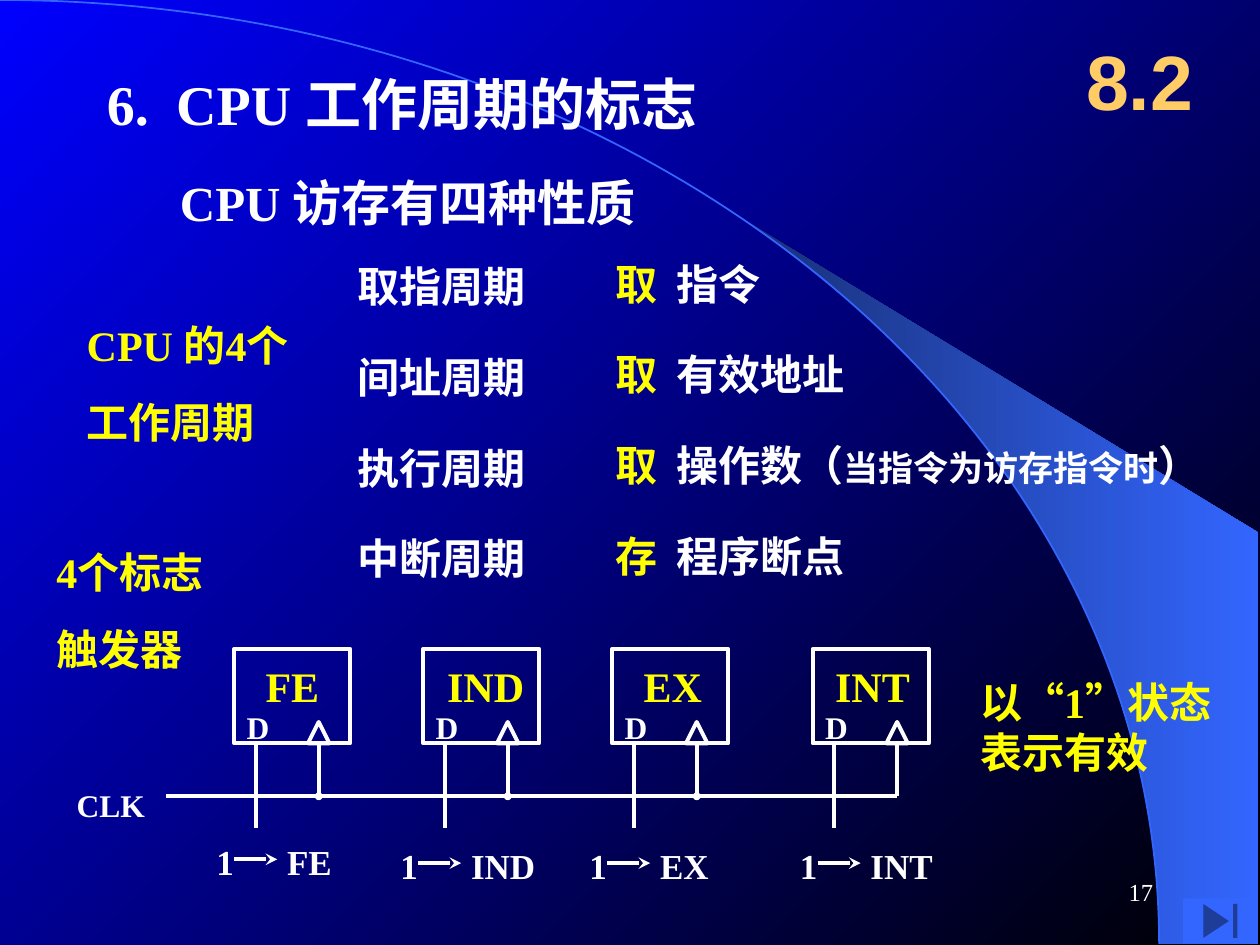
from lxml.etree import SubElement
from pptx import Presentation
from pptx.dml.color import RGBColor
from pptx.enum.shapes import MSO_CONNECTOR, MSO_SHAPE
from pptx.enum.text import MSO_ANCHOR, MSO_AUTO_SIZE, PP_ALIGN
from pptx.oxml.ns import qn
from pptx.util import Inches, Pt

WHITE, YELLOW, ORANGE, BLUE = "FFFFFF", "FFFF00", "FFCC66", "3366FF"
NAVY, DEEP_BLUE, BLACK = "182F76", "0000FF", "000000"

# Text boxes: left, top, width, height, paragraphs, format
# A paragraph is a string or a list of (text, overrides) runs
TEXTS = [
    (0.75, 0.5, 6.25, 0.64, ["6.\tCPU 工作周期的标志"], {"size": 32, "tab": 0.55}),
    (1.33, 1.32, 5.83, 0.57, ["CPU 访存有四种性质"], {"size": 28}),
    (0.59, 2.49, 1.93, 1.51, ["CPU 的4个", "工作周期"], {"color": YELLOW}),
    (0.35, 4.29, 1.57, 1.11, ["4个标志", "触发器"], {"color": YELLOW}),
    (7.68, 5.32, 2.09, 0.9, ["以“1”状态表示有效"], {"color": YELLOW}),
    (6.26, 3.44, 3.7, 0.5,
     [[("（", {}), ("当指令为访存指令时", {"size": 20}), ("）", {})]], {}),
    (0.51, 6.19, 0.8, 0.4, ["CLK"], {"size": 18}),
    (8.42, 0.17, 1.25, 0.92, ["8.2"],
     {"size": 44, "font": "Arial", "color": ORANGE, "align": PP_ALIGN.CENTER,
      "anchor": MSO_ANCHOR.MIDDLE}),
    (7.17, 6.83, 2.08, 0.5, ["17"],
     {"size": 14, "bold": False, "align": PP_ALIGN.RIGHT, "anchor": MSO_ANCHOR.MIDDLE}),
]

# Cycle name, memory action, what is accessed
CYCLES = [
    ("取指周期", "取", "指令"),
    ("间址周期", "取", "有效地址"),
    ("执行周期", "取", "操作数"),
    ("中断周期", "存", "程序断点"),
]
CYCLE_TOP, CYCLE_PITCH = 2, 0.72

# Flip-flop name, box left, name left, name width, signal left, signal top
FLIP_FLOPS = [
    ("FE", 1.86, 2.01, 0.7, 1.62, 6.62),
    ("IND", 3.36, 3.45, 0.88, 3.08, 6.65),
    ("EX", 4.86, 5.01, 0.74, 4.58, 6.65),
    ("INT", 6.45, 6.53, 0.86, 6.25, 6.65),
]
BOX_TOP, BOX_WIDTH, BOX_HEIGHT = 5.15, 0.92, 0.75
BOX_BOTTOM = BOX_TOP + BOX_HEIGHT
CLOCK_Y, INPUT_END = 6.32, 6.57
INPUT_OFFSET, CLOCK_OFFSET, NOTCH = 0.17, 0.67, 0.17

# Background arc as a cubic curve
ARC_CONTROLS = [(0, 0), (5.08, 0), (9.2, 3.35), (9.2, 7.49)]
ARC_STEPS = 100
WEDGE_START = 5.87
WEDGE_CORNERS = [(9.99, 7.49), (9.99, 4.23)]

presentation = Presentation()
presentation.slide_width, presentation.slide_height = Inches(10), Inches(7.5)
slide = presentation.slides.add_slide(presentation.slide_layouts[6])


def rgb(value):
    return RGBColor.from_string(value)


def set_gradient(fill, start, end, angle):
    fill.gradient()
    fill.gradient_angle = angle
    for stop, color, position in zip(fill.gradient_stops, (start, end), (0, 1)):
        stop.color.rgb = rgb(color)
        stop.position = position


def set_line(shape, color=WHITE, width=2.25):
    shape.line.color.rgb = rgb(color)
    shape.line.width = Pt(width)


def add_text(left, top, width, height, paragraphs, style):
    style = {"size": 24, "font": "Times New Roman", "color": WHITE, "bold": True,
             "align": PP_ALIGN.LEFT, "anchor": MSO_ANCHOR.TOP, **style}
    box = slide.shapes.add_textbox(*map(Inches, (left, top, width, height)))
    frame_format = {"word_wrap": True, "vertical_anchor": style["anchor"],
                    "auto_size": MSO_AUTO_SIZE.NONE}
    for name, value in frame_format.items():
        setattr(box.text_frame, name, value)
    for index, content in enumerate(paragraphs):
        paragraph = box.text_frame.paragraphs[0]
        if index:
            paragraph = box.text_frame.add_paragraph()
            paragraph.space_before = Pt(15)
        paragraph.alignment = style["align"]
        if "tab" in style:
            tabs = SubElement(paragraph._p.get_or_add_pPr(), qn("a:tabLst"))
            SubElement(tabs, qn("a:tab"), pos=str(Inches(style["tab"])), algn="l")
        for text, overrides in [(content, {})] if isinstance(content, str) else content:
            look = {**style, **overrides}
            run = paragraph.add_run()
            run.text = text
            font_format = {"size": Pt(look["size"]), "name": look["font"],
                           "bold": look["bold"]}
            for name, value in font_format.items():
                setattr(run.font, name, value)
            run.font.color.rgb = rgb(look["color"])


def add_line(x1, y1, x2, y2, end=None, end_size="med"):
    line = slide.shapes.add_connector(
        MSO_CONNECTOR.STRAIGHT, *map(Inches, (x1, y1, x2, y2)))
    set_line(line)
    if end:
        SubElement(line.line._get_or_add_ln(), qn("a:tailEnd"),
                   type=end, w=end_size, len=end_size)
    SubElement(line._element.spPr, qn("a:effectLst"))


def add_preset(kind, left, top, width, height):
    shape = slide.shapes.add_shape(kind, *map(Inches, (left, top, width, height)))
    shape.shadow.inherit = False
    shape.fill.background()
    set_line(shape)
    return shape


def add_outline(points, close):
    start, *rest = [(Inches(x), Inches(y)) for x, y in points]
    builder = slide.shapes.build_freeform(*start)
    builder.add_line_segments(rest, close=close)
    shape = builder.convert_to_shape()
    shape.shadow.inherit = False
    return shape


def arc_point(t):
    weights = ((1 - t) ** 3, 3 * t * (1 - t) ** 2, 3 * t * t * (1 - t), t ** 3)
    return tuple(sum(w * p[axis] for w, p in zip(weights, ARC_CONTROLS))
                 for axis in (0, 1))


# Background: gradient, wedge and arc
set_gradient(slide.background.fill, DEEP_BLUE, BLACK, 315)
arc = [arc_point(step / ARC_STEPS) for step in range(ARC_STEPS + 1)]
wedge = add_outline([p for p in arc if p[0] >= WEDGE_START] + WEDGE_CORNERS, True)
set_gradient(wedge.fill, NAVY, BLUE, 0)
wedge.line.fill.background()
curve = add_outline(arc, False)
curve.fill.background()
set_line(curve, BLUE, 1)

# Headings, notes and page number
for text_box in TEXTS:
    add_text(*text_box)

# Four cycles and their memory accesses
for row, (cycle, action, target) in enumerate(CYCLES):
    top = CYCLE_TOP + row * CYCLE_PITCH
    add_text(2.74, top + 0.02, 2.42, 0.5, [cycle], {})
    add_text(4.79, top, 2.42, 0.5,
             [[(action, {"color": YELLOW}), ("\t" + target, {})]], {"tab": 0.48})

# Flip-flops with data input, clock input and signal
for name, left, name_left, name_width, signal_left, signal_top in FLIP_FLOPS:
    add_preset(MSO_SHAPE.RECTANGLE, left, BOX_TOP, BOX_WIDTH, BOX_HEIGHT)
    add_text(name_left, 5.19, name_width, 0.5, [name], {"color": YELLOW})
    add_text(left, 5.57, 0.4, 0.4, ["D"], {"size": 18})
    clock_x, input_x = left + CLOCK_OFFSET, left + INPUT_OFFSET
    add_preset(MSO_SHAPE.ISOSCELES_TRIANGLE, clock_x - NOTCH / 2,
               BOX_BOTTOM - NOTCH, NOTCH, NOTCH)
    add_line(input_x, BOX_BOTTOM, input_x, INPUT_END)
    is_last = name == FLIP_FLOPS[-1][0]
    add_line(clock_x, BOX_BOTTOM, clock_x, CLOCK_Y, None if is_last else "oval", "sm")

    arrow_y = signal_top + 0.2
    add_text(signal_left, signal_top, 0.36, 0.44, ["1"], {"size": 20})
    add_line(signal_left + 0.24, arrow_y, signal_left + 0.58, arrow_y, "stealth")
    add_text(signal_left + 0.56, signal_top, name_width, 0.44, [name], {"size": 20})

# Shared clock line
add_line(1.32, CLOCK_Y, FLIP_FLOPS[-1][1] + CLOCK_OFFSET, CLOCK_Y)

# Navigation button
button = add_preset(MSO_SHAPE.ACTION_BUTTON_END, 9.39, 7.13, 0.59, 0.36)
button.fill.solid()
button.fill.fore_color.rgb = rgb(BLUE)
button.line.fill.background()

presentation.save("out.pptx")
